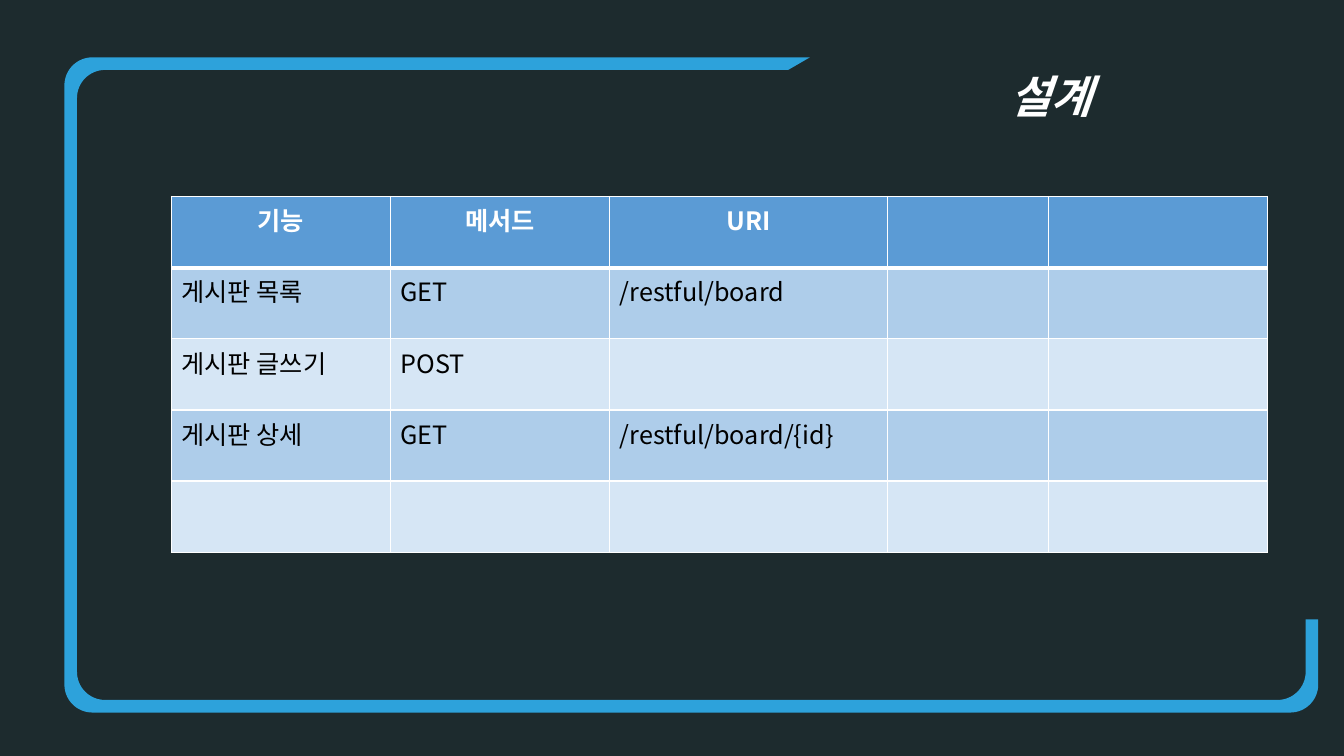
import math
import pptx
import pptx.dml.color
import pptx.enum.text
import pptx.oxml
import pptx.oxml.ns
import pptx.util

Pt = pptx.util.Pt
RGBColor = pptx.dml.color.RGBColor
ALIGN = pptx.enum.text.PP_ALIGN
ANCHOR = pptx.enum.text.MSO_ANCHOR

BACKGROUND = RGBColor(0x1D, 0x2B, 0x2E)
FRAME_BLUE = RGBColor(0x2D, 0xA2, 0xDB)
HEADER_BLUE = RGBColor(0x5B, 0x9B, 0xD5)
BAND_DARK = RGBColor(0xAE, 0xCD, 0xEA)
BAND_LIGHT = RGBColor(0xD6, 0xE6, 0xF5)
WHITE = RGBColor(0xFF, 0xFF, 0xFF)
BLACK = RGBColor(0, 0, 0)
FONT = "Noto Sans CJK KR"


def write_text(text_frame, text, size=18, color=BLACK, bold=False, italic=False,
               align=ALIGN.LEFT, line_spacing=1.0):
    paragraph = text_frame.paragraphs[0]
    paragraph.alignment = align
    paragraph.line_spacing = line_spacing
    run = paragraph.add_run()
    run.text = text
    font = run.font
    font.name, font.size, font.bold, font.italic = FONT, Pt(size), bold, italic
    font.color.rgb = color
    east_asian = pptx.oxml.parse_xml(
        f'<a:ea {pptx.oxml.ns.nsdecls("a")} typeface="{FONT}"/>')
    font._element.find(pptx.oxml.ns.qn("a:latin")).addnext(east_asian)


def corner(center_x, center_y, radius, start, end, steps=16):
    angles = [math.radians(start + (end - start) * step / steps)
              for step in range(steps + 1)]
    return [(center_x + radius * math.cos(angle), center_y + radius * math.sin(angle))
            for angle in angles]


class SlideBuilder:
    def __init__(self, presentation):
        self.slide = presentation.slides.add_slide(presentation.slide_layouts[5])
        fill = self.slide.background.fill
        fill.solid()
        fill.fore_color.rgb = BACKGROUND

    def outline(self, points, color):
        vertices = [(Pt(x), Pt(y)) for x, y in points]
        builder = self.slide.shapes.build_freeform(*vertices[0], scale=1.0)
        builder.add_line_segments(vertices[1:], close=True)
        shape = builder.convert_to_shape()
        shape.shadow.inherit = False
        shape.fill.solid()
        shape.fill.fore_color.rgb = color
        shape.line.fill.background()

    def title(self, text, left, top, width, height):
        shape = self.slide.shapes.title
        shape.left, shape.top = Pt(left), Pt(top)
        shape.width, shape.height = Pt(width), Pt(height)
        text_frame = shape.text_frame
        text_frame.word_wrap = True
        text_frame.auto_size = pptx.enum.text.MSO_AUTO_SIZE.NONE
        text_frame.vertical_anchor = ANCHOR.MIDDLE
        write_text(text_frame, text, size=32, color=WHITE, bold=True, italic=True,
                   align=ALIGN.CENTER, line_spacing=1.5)

    def table(self, rows, left, top, column_widths, row_height):
        frame = self.slide.shapes.add_table(
            len(rows), len(column_widths), Pt(left), Pt(top),
            Pt(sum(column_widths)), Pt(row_height * len(rows)))
        table = frame.table
        for column, width in zip(table.columns, column_widths):
            column.width = Pt(width)
        for row_index, texts in enumerate(rows):
            table.rows[row_index].height = Pt(row_height)
            for column_index, text in enumerate(texts):
                self.cell(table.cell(row_index, column_index), text, row_index)

    def cell(self, cell, text, row_index):
        header = row_index == 0
        cell.fill.solid()
        cell.fill.fore_color.rgb = (
            HEADER_BLUE if header else BAND_DARK if row_index % 2 else BAND_LIGHT)
        if text:
            write_text(cell.text_frame, text, color=WHITE if header else BLACK,
                       bold=header, align=ALIGN.CENTER if header else ALIGN.LEFT)
        widths = {"lnL": 1, "lnR": 1, "lnT": 3 if row_index == 1 else 1,
                  "lnB": 3 if header else 1}
        properties = cell._tc.get_or_add_tcPr()
        for position, (side, width) in enumerate(widths.items()):
            properties.insert(position, pptx.oxml.parse_xml(
                f'<a:{side} {pptx.oxml.ns.nsdecls("a")} w="{Pt(width)}"><a:solidFill>'
                f'<a:srgbClr val="{WHITE}"/></a:solidFill></a:{side}>'))


presentation = pptx.Presentation()
presentation.slide_width, presentation.slide_height = Pt(960), Pt(540)
builder = SlideBuilder(presentation)

left, top, right, bottom = 46, 41, 941.6, 509
thickness, radius = 9, 20
inner_left, inner_top = left + thickness, top + thickness
inner_right, inner_bottom = right - thickness, bottom - thickness
builder.outline(
    [(578.5, top), (563, inner_top)]
    + corner(inner_left + radius, inner_top + radius, radius, 270, 180)
    + corner(inner_left + radius, inner_bottom - radius, radius, 180, 90)
    + corner(inner_right - radius, inner_bottom - radius, radius, 90, 0)
    + [(inner_right, 442.5), (right, 442.5)]
    + corner(right - radius, bottom - radius, radius, 0, 90)
    + corner(left + radius, bottom - radius, radius, 90, 180)
    + corner(left + radius, top + radius, radius, 180, 270),
    FRAME_BLUE)

builder.title("설계", 599, 26.6, 303, 64)
builder.table(
    [("기능", "메서드", "URI", "", ""),
     ("게시판 목록", "GET", "/restful/board", "", ""),
     ("게시판 글쓰기", "POST", "", "", ""),
     ("게시판 상세", "GET", "/restful/board/{id}", "", ""),
     ("", "", "", "", "")],
    122.4, 140.4, (156.6, 156.6, 198.4, 115, 156.6), 50.8)

presentation.save("out.pptx")
